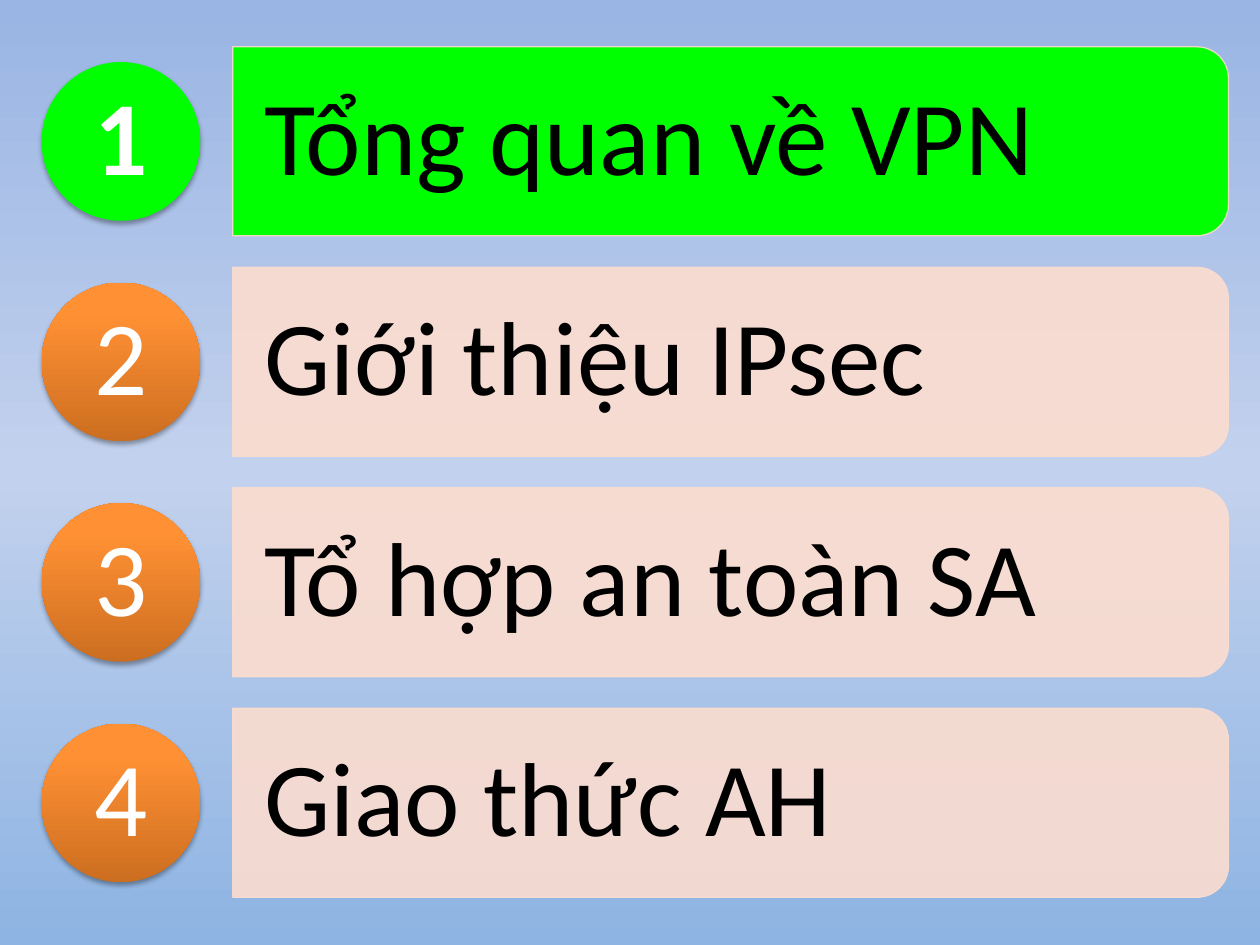
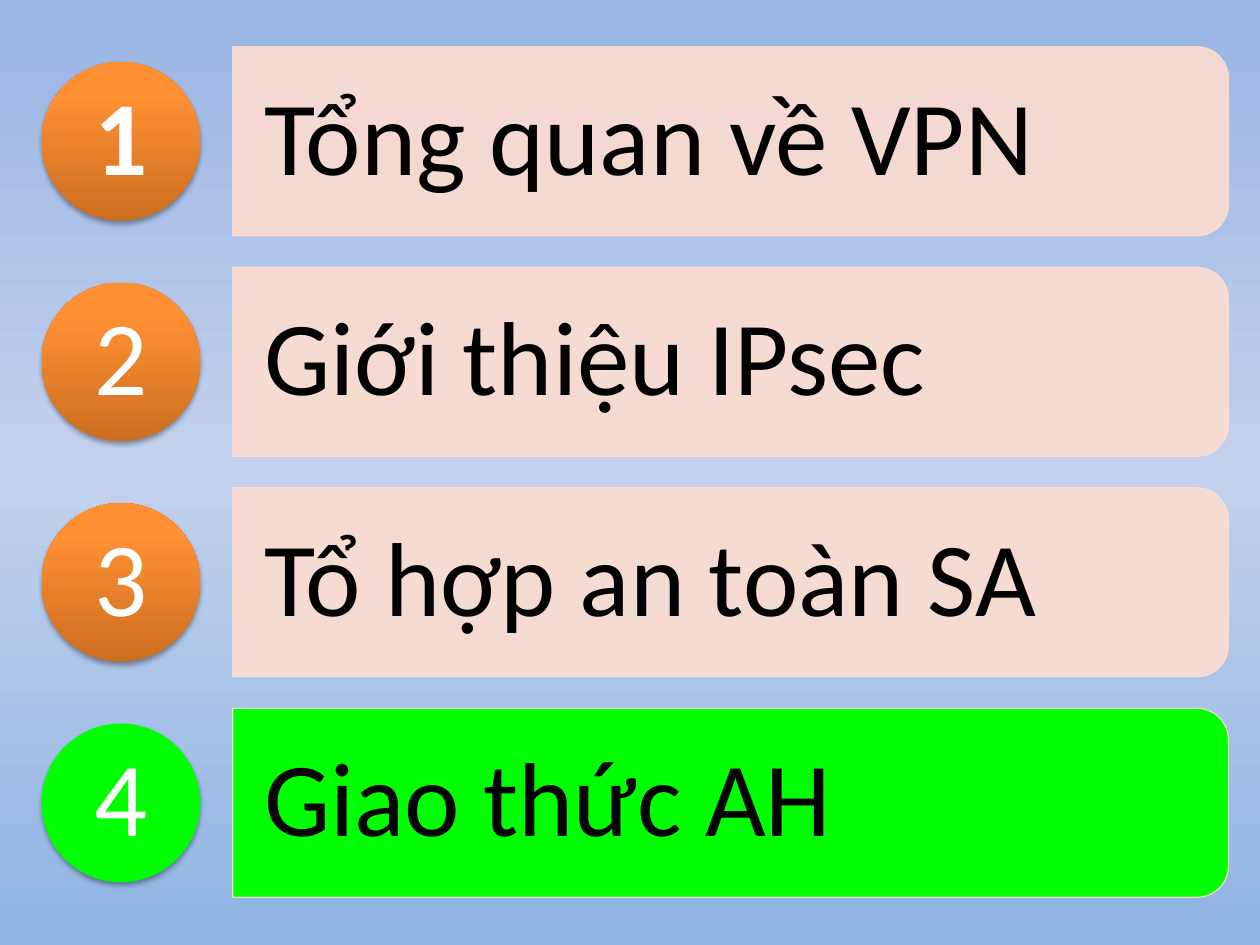
from lxml.etree import SubElement
from pptx import Presentation
from pptx.dml.color import RGBColor
from pptx.enum.shapes import MSO_SHAPE as Shape
from pptx.enum.text import MSO_ANCHOR as Anchor, PP_ALIGN as Align
from pptx.oxml.ns import qn
from pptx.util import Pt

TOPICS = ["Tổng quan về VPN", "Giới thiệu IPsec", "Tổ hợp an toàn SA", "Giao thức AH"]
ACTIVE_TOPICS = [1, 4]
BOLD_NUMBER = 1

FONT = "Calibri"
FONT_SIZE = 60
BLACK, WHITE = "000000", "FFFFFF"
ACTIVE, BAR = "00FF00", "FCDDCF"
BACKGROUND = [(0, "9AB5E4"), (50, "C2D1ED"), (100, "8EB4E3")]
CIRCLE = [(0, "CC6E20"), (80, "FF9034"), (100, "FF9136")]

FIRST_MIDDLE, ROW_PITCH = 80.8, 126
BAR_LEFT, BAR_WIDTH, BAR_HEIGHT = 133, 569, 108
LABEL_WIDTH, LABEL_HEIGHT = 563.8, 97.2
LABEL_INSETS = (18, 12)
CIRCLE_CENTER, CIRCLE_SIZE, NUMBER_SIZE = 69.1, 90.7, 64


def color(value):
    return RGBColor.from_string(value)


def add_child(parent, tag, **attributes):
    return SubElement(parent, qn(tag), {key: str(value) for key, value in attributes.items()})


def centered(center, middle, width, height):
    return Pt(center - width / 2), Pt(middle - height / 2), Pt(width), Pt(height)


def set_solid(fill, value):
    fill.solid()
    fill.fore_color.rgb = color(value)


def set_opacity(holder, percent):
    add_child(holder.find(qn("a:solidFill"))[0], "a:alpha", val=percent * 1000)


def set_gradient(fill, holder, stops, angle):
    fill.solid()
    solid = holder.find(qn("a:solidFill"))
    gradient = add_child(holder, "a:gradFill", rotWithShape=1)
    stop_list = add_child(gradient, "a:gsLst")
    for position, value in stops:
        stop = add_child(stop_list, "a:gs", pos=position * 1000)
        add_child(stop, "a:srgbClr", val=value)
    add_child(gradient, "a:lin", ang=angle * 60000, scaled=0)
    holder.replace(solid, gradient)


def add_shadow(shape):
    effects = shape._element.spPr.find(qn("a:effectLst"))
    shadow = add_child(effects, "a:outerShdw", blurRad=Pt(3.1), dist=Pt(1.8),
                       dir=90 * 60000, rotWithShape=0)
    add_child(add_child(shadow, "a:srgbClr", val=BLACK), "a:alpha", val=35000)


def add_text(slide, box, text, text_color, insets=(0, 0), align=Align.LEFT, bold=False):
    frame = slide.shapes.add_textbox(*box).text_frame
    frame.word_wrap = True
    frame.vertical_anchor = Anchor.MIDDLE
    frame.margin_left = frame.margin_right = Pt(insets[0])
    frame.margin_top = frame.margin_bottom = Pt(insets[1])
    frame.text = text
    paragraph = frame.paragraphs[0]
    paragraph.alignment = align
    paragraph.line_spacing = 0.9
    space_after = add_child(paragraph._p.get_or_add_pPr(), "a:spcAft")
    add_child(space_after, "a:spcPct", val=35000)
    font = paragraph.runs[0].font
    font.name, font.size, font.bold = FONT, Pt(FONT_SIZE), bold
    font.color.rgb = color(text_color)


def add_bar(slide, middle, active):
    box = centered(BAR_LEFT + BAR_WIDTH / 2, middle, BAR_HEIGHT, BAR_WIDTH)
    bar = slide.shapes.add_shape(Shape.ROUND_2_SAME_RECTANGLE, *box)
    bar.rotation = 90
    bar.shadow.inherit = False
    set_solid(bar.fill, ACTIVE if active else BAR)
    if not active:
        set_opacity(bar._element.spPr, 90)
    set_solid(bar.line.fill, BAR)
    bar.line.width = Pt(0.75)
    set_opacity(bar._element.spPr.find(qn("a:ln")), 90)


def add_circle(slide, middle, active):
    box = centered(CIRCLE_CENTER, middle, CIRCLE_SIZE, CIRCLE_SIZE)
    circle = slide.shapes.add_shape(Shape.OVAL, *box)
    circle.shadow.inherit = False
    circle.line.fill.background()
    if active:
        set_solid(circle.fill, ACTIVE)
    else:
        set_gradient(circle.fill, circle._element.spPr, CIRCLE, 270)
    add_shadow(circle)


def add_agenda(presentation, active_topic):
    slide = presentation.slides.add_slide(presentation.slide_layouts[6])
    fill = slide.background.fill
    set_gradient(fill, next(slide._element.iter(qn("p:bgPr"))), BACKGROUND, 90)
    for number, topic in enumerate(TOPICS, 1):
        middle = FIRST_MIDDLE + (number - 1) * ROW_PITCH
        active = number == active_topic
        add_bar(slide, middle, active)
        label_box = centered(BAR_LEFT + LABEL_WIDTH / 2, middle, LABEL_WIDTH, LABEL_HEIGHT)
        add_text(slide, label_box, topic, BLACK, LABEL_INSETS)
        add_circle(slide, middle, active)
        number_box = centered(CIRCLE_CENTER, middle, NUMBER_SIZE, NUMBER_SIZE)
        add_text(slide, number_box, str(number), WHITE, align=Align.CENTER,
                 bold=number == BOLD_NUMBER)


def main():
    presentation = Presentation()
    presentation.slide_width, presentation.slide_height = Pt(720), Pt(540)
    for active_topic in ACTIVE_TOPICS:
        add_agenda(presentation, active_topic)
    presentation.save("out.pptx")


if __name__ == "__main__":
    main()
